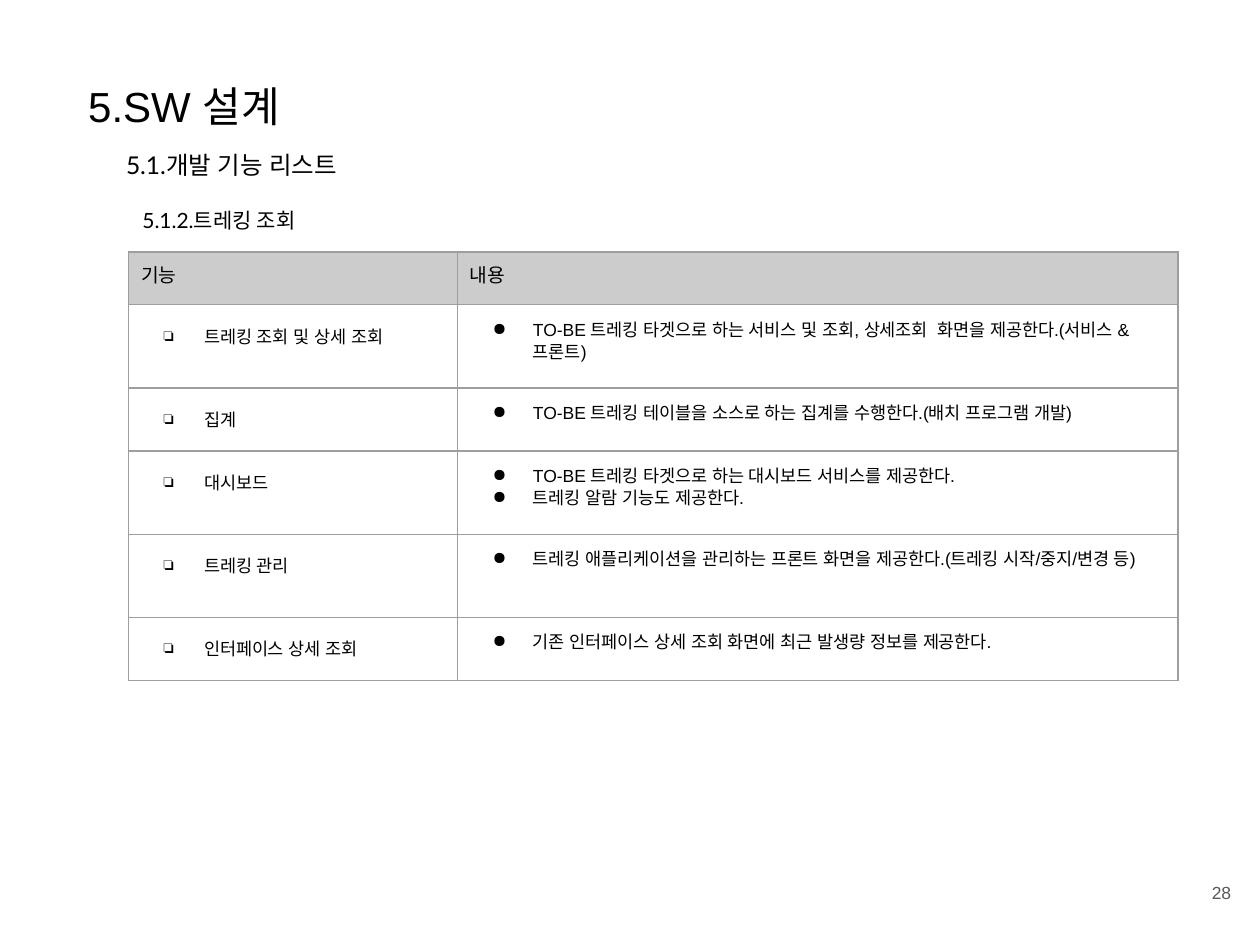
from lxml.etree import SubElement
from pptx import Presentation
from pptx.dml.color import RGBColor
from pptx.enum.text import MSO_ANCHOR as Anchor, MSO_AUTO_SIZE as AutoSize, PP_ALIGN as Align
from pptx.oxml.ns import qn
from pptx.util import Inches, Pt

COLORS = {"text": "000000", "page": "595959", "header": "CCCCCC", "border": "9E9E9E"}
MARGIN = 0.1
HEADER = ("기능", "내용")
FEATURES = [
    ("트레킹 조회 및 상세 조회",
     ["TO-BE 트레킹 타겟으로 하는 서비스 및 조회, 상세조회  화면을 제공한다.(서비스 & 프론트)"]),
    ("집계", ["TO-BE 트레킹 테이블을 소스로 하는 집계를 수행한다.(배치 프로그램 개발)"]),
    ("대시보드",
     ["TO-BE 트레킹 타겟으로 하는 대시보드 서비스를 제공한다.", "트레킹 알람 기능도 제공한다."]),
    ("트레킹 관리",
     ["트레킹 애플리케이션을 관리하는 프론트 화면을 제공한다.(트레킹 시작/중지/변경 등)"]),
    ("인터페이스 상세 조회", ["기존 인터페이스 상세 조회 화면에 최근 발생량 정보를 제공한다."]),
]
COLUMN_WIDTHS = (2.61, 5.72)
ROW_HEIGHTS = (0.42, 0.66, 0.5, 0.66, 0.66, 0.5)


class SlideBuilder:
    def __init__(self, slide):
        self.slide = slide

    def place(self, shape, left, top, width, height, anchor=Anchor.TOP):
        shape.left, shape.top = Inches(left), Inches(top)
        shape.width, shape.height = Inches(width), Inches(height)
        frame = shape.text_frame
        frame.word_wrap = True
        frame.auto_size = AutoSize.NONE
        frame.vertical_anchor = anchor
        self.set_margins(frame)
        return frame

    def set_margins(self, target):
        target.margin_left = target.margin_right = Inches(MARGIN)
        target.margin_top = target.margin_bottom = Inches(MARGIN)

    def set_text(self, paragraph, text, size, font="Arial", color="text", align=Align.LEFT):
        paragraph.text = text
        paragraph.alignment = align
        for run in paragraph.runs:
            run.font.size = Pt(size)
            run.font.color.rgb = RGBColor.from_string(COLORS[color])
            run.font.name = font
            SubElement(run._r.get_or_add_rPr(), qn("a:ea")).set("typeface", font)

    def indent(self, paragraph, left, first, bullet=None):
        props = paragraph._p.get_or_add_pPr()
        props.set("marL", str(Inches(left)))
        props.set("indent", str(Inches(first)))
        if bullet:
            color = SubElement(props, qn("a:buClr"))
            SubElement(color, qn("a:srgbClr")).set("val", COLORS["text"])
            SubElement(props, qn("a:buChar")).set("char", bullet)
        else:
            SubElement(props, qn("a:buNone"))

    def title(self, text, box):
        heading = self.place(self.slide.shapes.title, *box).paragraphs[0]
        self.set_text(heading, text, 24)
        heading.space_after = Pt(16)

    def subheadings(self, section, subsection, box):
        frame = self.place(self.slide.placeholders[1], *box)
        first, second = frame.paragraphs[0], frame.add_paragraph()
        self.set_text(first, section, 14, "Lato")
        self.set_text(second, subsection, 12, "Lato")
        first.space_before = Pt(0)
        second.space_before = second.space_after = Pt(16)
        self.indent(first, 0, 0)
        self.indent(second, 0.13, 0)

    def page_number(self, number, box):
        frame = self.place(self.slide.shapes.add_textbox(0, 0, 0, 0), *box, Anchor.MIDDLE)
        self.set_text(frame.paragraphs[0], number, 10, color="page", align=Align.RIGHT)

    def style_cell(self, cell, fill=None):
        self.set_margins(cell)
        props = cell._tc.get_or_add_tcPr()
        for side in ("lnL", "lnR", "lnT", "lnB"):
            line = SubElement(props, qn(f"a:{side}"), w=str(Pt(0.75)))
            solid = SubElement(line, qn("a:solidFill"))
            SubElement(solid, qn("a:srgbClr")).set("val", COLORS["border"])
        if fill:
            cell.fill.solid()
            cell.fill.fore_color.rgb = RGBColor.from_string(COLORS[fill])
        else:
            cell.fill.background()

    def bullets(self, cell, items, mark, spacing):
        cell.text_frame.text = "\n".join(items)
        for paragraph, item in zip(cell.text_frame.paragraphs, items):
            self.set_text(paragraph, item, 10)
            paragraph.line_spacing = spacing
            self.indent(paragraph, 0.5, -0.32, mark)

    def feature_table(self, left, top):
        table = self.slide.shapes.add_table(
            len(ROW_HEIGHTS), len(COLUMN_WIDTHS), Inches(left), Inches(top),
            Inches(sum(COLUMN_WIDTHS)), Inches(sum(ROW_HEIGHTS))).table
        table.first_row = table.horz_banding = False
        for column, width in zip(table.columns, COLUMN_WIDTHS):
            column.width = Inches(width)
        for row, height in zip(table.rows, ROW_HEIGHTS):
            row.height = Inches(height)
        for cell, label in zip(table.rows[0].cells, HEADER):
            self.style_cell(cell, "header")
            self.set_text(cell.text_frame.paragraphs[0], label, 11)
        for row, (feature, details) in enumerate(FEATURES, 1):
            feature_cell, detail_cell = table.cell(row, 0), table.cell(row, 1)
            self.style_cell(feature_cell)
            self.style_cell(detail_cell)
            self.bullets(feature_cell, [feature], "❏", 1.5)
            self.bullets(detail_cell, details, "●", 1.15)


def main():
    deck = Presentation()
    deck.slide_width, deck.slide_height = Inches(10), Inches(7.5)
    builder = SlideBuilder(deck.slides.add_slide(deck.slide_layouts[1]))
    builder.title("5.SW 설계", (0.6, 0.54, 8.52, 0.54))
    builder.subheadings("5.1.개발 기능 리스트", "5.1.2.트레킹 조회", (0.9, 1.09, 5.6, 0.9))
    builder.page_number("28", (9.27, 6.8, 0.6, 0.57))
    builder.feature_table(1.02, 2)
    deck.save("out.pptx")


if __name__ == "__main__":
    main()
